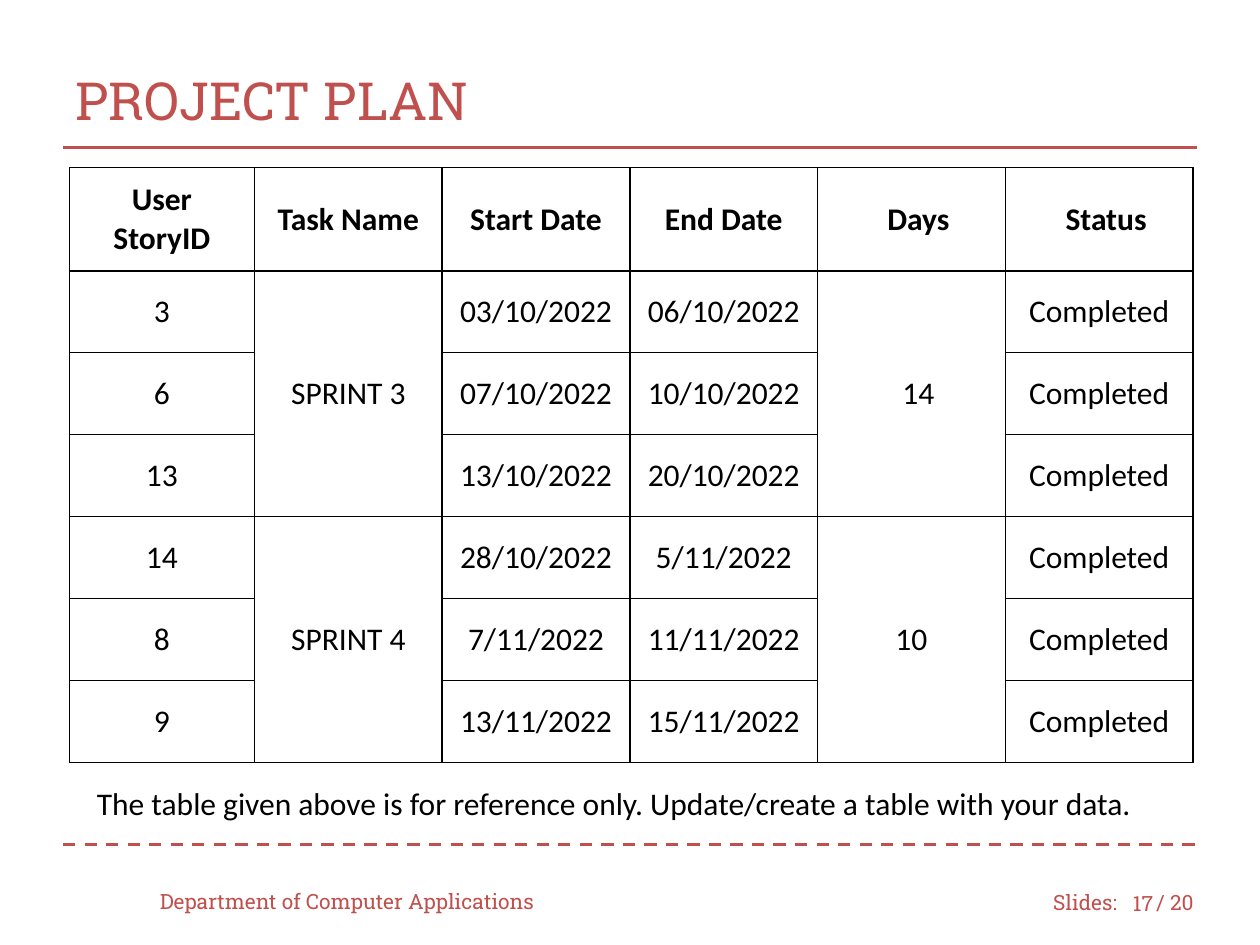
from dataclasses import dataclass

from pptx import Presentation
from pptx.dml.color import RGBColor as RGB
from pptx.enum.dml import MSO_LINE_DASH_STYLE as DASH
from pptx.enum.shapes import MSO_CONNECTOR as CONNECTOR
from pptx.enum.text import MSO_ANCHOR as ANCHOR, MSO_AUTO_SIZE as FIT, PP_ALIGN as ALIGN
from pptx.oxml.ns import qn
from pptx.util import Emu, Pt
from lxml.etree import SubElement

EMU_PER_PX = 9144


def px(n):
    return Emu(n * EMU_PER_PX)


@dataclass(frozen=True)
class Theme:
    accent: str = "C0504D"
    ink: str = "000000"
    paper: str = "FFFFFF"
    display: str = "Roboto Slab"
    body: str = "Calibri"
    title_pt: int = 30
    body_pt: int = 18
    footer_pt: int = 12
    rule_pt: float = 1.75
    border_pt: int = 1


class Deck:
    def __init__(self, theme):
        self.theme = theme
        self.prs = Presentation()
        self.prs.slide_width, self.prs.slide_height = px(1000), px(750)
        self.s = self.prs.slides.add_slide(self.prs.slide_layouts[5])

    def style(self, tf, font, size, color, align=ALIGN.LEFT, bold=False):
        for p in tf.paragraphs:
            p.alignment = align
            for r in p.runs:
                r.font.name, r.font.size, r.font.bold = font, Pt(size), bold
                r.font.color.rgb = RGB.from_string(color)

    def title(self, text, x, y, w, h):
        t = self.theme
        sp = self.s.shapes.title
        sp.left, sp.top, sp.width, sp.height = map(px, (x, y, w, h))
        tf = sp.text_frame
        tf.text = text
        tf.auto_size, tf.vertical_anchor = FIT.NONE, ANCHOR.MIDDLE
        self.style(tf, t.display, t.title_pt, t.accent)

    def textbox(self, text, x, y, w, h, anchor):
        tf = self.s.shapes.add_textbox(*map(px, (x, y, w, h))).text_frame
        tf.text = text
        tf.word_wrap, tf.vertical_anchor = True, anchor
        return tf

    def footer(self, text, x, y, w, align=ALIGN.LEFT):
        t = self.theme
        tf = self.textbox(text, x, y, w, 40, ANCHOR.MIDDLE)
        self.style(tf, t.display, t.footer_pt, t.accent, align)

    def note(self, text, x, y, w):
        t = self.theme
        tf = self.textbox(text, x, y, w, 40, ANCHOR.TOP)
        tf.auto_size = FIT.SHAPE_TO_FIT_TEXT
        self.style(tf, t.body, t.body_pt, t.ink)

    def rule(self, x1, x2, y, dash=None):
        ln = self.s.shapes.add_connector(CONNECTOR.STRAIGHT, *map(px, (x1, y, x2, y)))
        ln.line.color.rgb = RGB.from_string(self.theme.accent)
        ln.line.width = Pt(self.theme.rule_pt)
        if dash:
            ln.line.dash_style = dash
        SubElement(ln._element.spPr, qn("a:effectLst"))

    def borders(self, cell):
        tc_pr = cell._tc.get_or_add_tcPr()
        for side in ("a:lnL", "a:lnR", "a:lnT", "a:lnB"):
            ln = SubElement(tc_pr, qn(side), w=str(Pt(self.theme.border_pt)))
            fill = SubElement(ln, qn("a:solidFill"))
            SubElement(fill, qn("a:srgbClr"), val=self.theme.ink)

    def table(self, rows, x, y, widths, heights, merges, indents):
        t = self.theme
        frame = self.s.shapes.add_table(len(heights), len(widths), px(x), px(y),
                                        px(sum(widths)), px(sum(heights)))
        table = frame.table
        table.first_row = table.horz_banding = False
        for col, width in zip(table.columns, widths):
            col.width = px(width)
        for row, height in zip(table.rows, heights):
            row.height = px(height)
        for i, values in enumerate(rows):
            for j, value in enumerate(values):
                cell = table.cell(i, j)
                cell.text = value
                cell.vertical_anchor = ANCHOR.MIDDLE
                cell.margin_left = px(10 + indents.get((i, j), 0))
                cell.margin_right = cell.margin_top = cell.margin_bottom = px(10)
                self.borders(cell)
                cell.fill.solid()
                cell.fill.fore_color.rgb = RGB.from_string(t.paper)
                self.style(cell.text_frame, t.body, t.body_pt, t.ink,
                           ALIGN.CENTER, bold=i == 0)
        for top, bottom, col in merges:
            table.cell(top, col).merge(table.cell(bottom, col))


HEADER = ["User\nStoryID", "Task Name", "Start Date", "End Date", "Days", "Status"]
SPRINTS = [
    ("SPRINT 3", "14", [("3", "03/10/2022", "06/10/2022"),
                        ("6", "07/10/2022", "10/10/2022"),
                        ("13", "13/10/2022", "20/10/2022")]),
    ("SPRINT 4", "10", [("14", "28/10/2022", "5/11/2022"),
                        ("8", "7/11/2022", "11/11/2022"),
                        ("9", "13/11/2022", "15/11/2022")]),
]
TASK_COL, DAYS_COL, STATUS_COL = 1, 4, 5


def main():
    rows, merges = [HEADER], []
    for sprint, days, stories in SPRINTS:
        first = len(rows)
        for k, (story, start, end) in enumerate(stories):
            task, total = (sprint, days) if k == 0 else ("", "")
            rows.append([story, task, start, end, total, "Completed"])
        merges += [(first, len(rows) - 1, col) for col in (TASK_COL, DAYS_COL)]

    deck = Deck(Theme())
    deck.rule(50, 950, 670, DASH.DASH)
    deck.rule(50, 950, 117)
    deck.title("PROJECT PLAN", 50, 33, 900, 92)
    deck.table(rows, 55, 133, [147] + [149] * 5, [82] + [65] * 6, merges,
               {(0, DAYS_COL): 11, (0, STATUS_COL): 11, (1, DAYS_COL): 11})
    deck.note("The table given above is for reference only. "
              "Update/create a table with your data.", 67, 617, 858)
    deck.footer("Department of Computer Applications", 117, 695, 333)
    deck.footer("Slides:", 826, 696, 75)
    deck.footer("17", 883, 697, 42, ALIGN.RIGHT)
    deck.footer("/ 20", 908, 696, 58)
    deck.prs.save("out.pptx")


if __name__ == "__main__":
    main()
